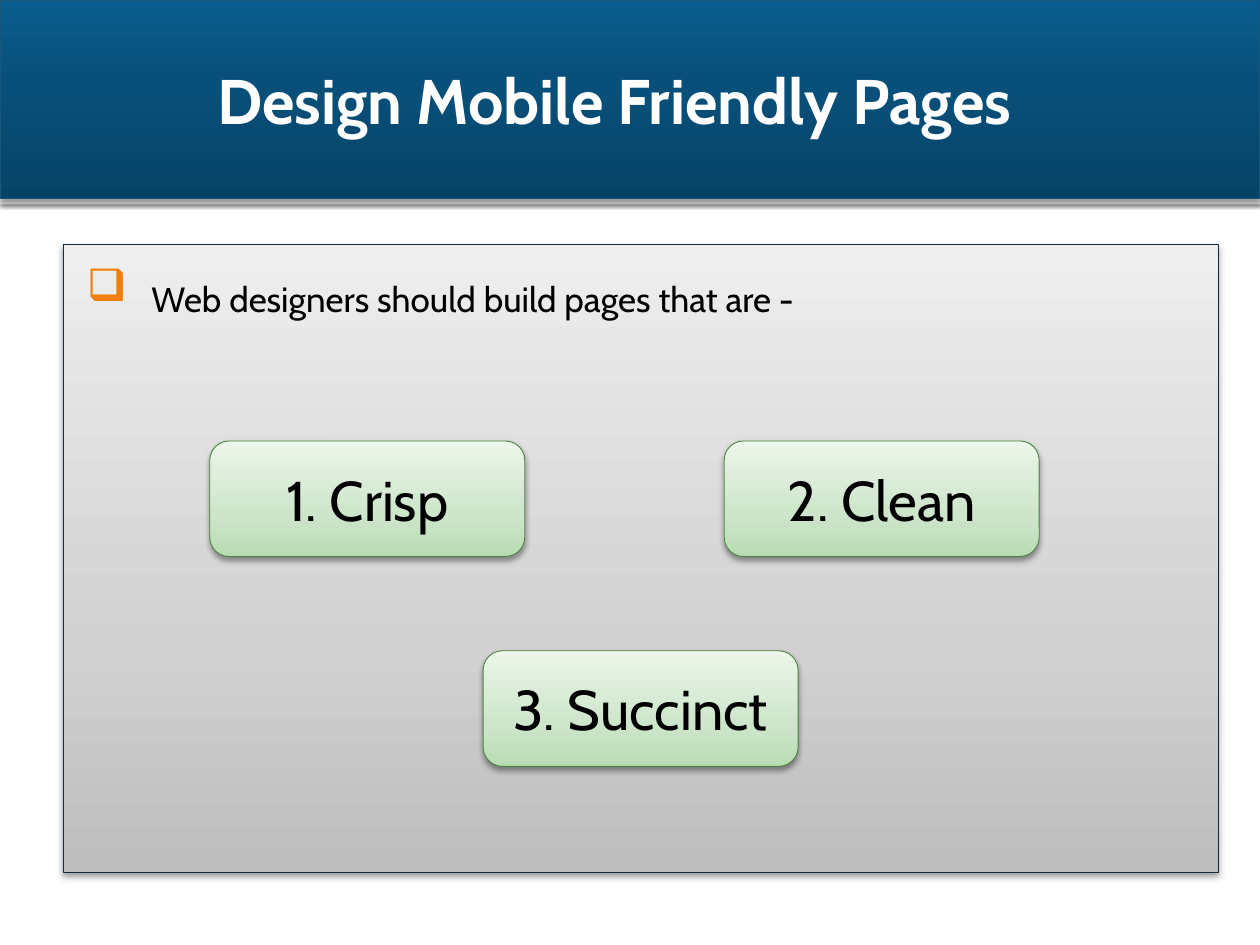
from copy import deepcopy
from dataclasses import dataclass

from lxml.etree import SubElement
from pptx import Presentation
from pptx.dml.color import RGBColor as Rgb
from pptx.enum.shapes import MSO_SHAPE as Preset
from pptx.enum.text import MSO_ANCHOR as Anchor, PP_ALIGN as Align
from pptx.oxml.ns import qn
from pptx.shapes.autoshape import Shape
from pptx.slide import Slide
from pptx.text.text import _Paragraph as Paragraph
from pptx.util import Cm, Pt


@dataclass(frozen=True)
class Box:
    left: float
    top: float
    width: float
    height: float


@dataclass(frozen=True)
class Shadow:
    opacity: int
    blur: float
    distance: float


@dataclass(frozen=True)
class Look:
    stops: tuple[tuple[int, str], ...]
    line: str
    shadow: Shadow


@dataclass(frozen=True)
class Quality:
    label: str
    left: float
    top: float


@dataclass(frozen=True)
class Theme:
    font: str = "Cabin"
    white: str = "FFFFFF"
    black: str = "000000"
    accent: str = "F07F09"
    title_size: int = 36
    large_size: int = 32
    lead_size: int = 20
    header: Look = Look(((0, "074367"), (55, "084F79"), (100, "095C8D")),
                        "18577C", Shadow(38, 3.1, 2))
    panel: Look = Look(((0, "BDBDBD"), (35, "D1D1D1"), (100, "EEEEEE")),
                       "0E2C3E", Shadow(38, 3.5, 2))
    card: Look = Look(((0, "B8DCB3"), (35, "CDE5CA"), (100, "ECF6EA")),
                      "4B843F", Shadow(38, 3.5, 2))
    strip_shadow: Shadow = Shadow(60, 2.5, 0.8)


THEME = Theme()
CARD_WIDTH, CARD_HEIGHT = 6.35, 2.33
UPPER_ROW, LOWER_ROW = 8.89, 13.12
QUALITIES = (
    Quality("1. Crisp", 4.23, UPPER_ROW),
    Quality("3. Succinct", 9.74, LOWER_ROW),
    Quality("2. Clean", 14.6, UPPER_ROW),
)


def lengths(box: Box) -> tuple[Cm, Cm, Cm, Cm]:
    return Cm(box.left), Cm(box.top), Cm(box.width), Cm(box.height)


def add_plain(slide: Slide, preset: Preset, box: Box, shadow: Shadow) -> Shape:
    shape = slide.shapes.add_shape(preset, *lengths(box))
    shape.shadow.inherit = False
    effects = shape._element.spPr.find(qn("a:effectLst"))
    outer = SubElement(effects, qn("a:outerShdw"), blurRad=str(Pt(shadow.blur)),
                       dist=str(Pt(shadow.distance)), dir="5400000",
                       algn="ctr", rotWithShape="0")
    tint = SubElement(outer, qn("a:srgbClr"), val=THEME.black)
    SubElement(tint, qn("a:alpha"), val=str(shadow.opacity * 1000))
    return shape


def add_styled(slide: Slide, preset: Preset, box: Box, look: Look) -> Shape:
    shape = add_plain(slide, preset, box, look.shadow)
    shape.fill.gradient()
    shape.fill.gradient_angle = 90
    stop_list = shape._element.spPr.find(qn("a:gradFill")).find(qn("a:gsLst"))
    stop_list.append(deepcopy(stop_list[-1]))
    for stop, (percent, color) in zip(shape.fill.gradient_stops, look.stops):
        stop.position = percent / 100
        stop.color.rgb = Rgb.from_string(color)
    shape.line.color.rgb = Rgb.from_string(look.line)
    shape.line.width = Pt(0.5)
    return shape


def add_run(paragraph: Paragraph, text: str, size: int, color: str, bold: bool = False) -> None:
    run = paragraph.add_run()
    run.text = text
    run.font.name = THEME.font
    run.font.size = Pt(size)
    run.font.bold = bold
    run.font.color.rgb = Rgb.from_string(color)


def add_bullet(paragraph: Paragraph) -> None:
    properties = paragraph._p.get_or_add_pPr()
    properties.set("marL", str(Cm(1.22)))
    properties.set("indent", str(-Cm(0.89)))
    color = SubElement(properties, qn("a:buClr"))
    SubElement(color, qn("a:srgbClr"), val=THEME.accent)
    SubElement(properties, qn("a:buSzPct"), val="80000")
    SubElement(properties, qn("a:buChar"), char="❑")


def add_header(slide: Slide) -> None:
    strip = add_plain(slide, Preset.RECTANGLE, Box(0, 3.99, 25.4, 0.13), THEME.strip_shadow)
    strip.fill.solid()
    strip.fill.fore_color.rgb = Rgb.from_string(THEME.white)
    strip.line.fill.background()
    add_styled(slide, Preset.RECTANGLE, Box(0, 0, 25.4, 4.01), THEME.header)

    title = slide.shapes.add_textbox(*lengths(Box(2.97, 0.64, 18.42, 2.74))).text_frame
    title.word_wrap = True
    title.vertical_anchor = Anchor.MIDDLE
    title.margin_left = Cm(0.25)
    title.margin_right = title.margin_top = title.margin_bottom = Cm(0.13)
    heading = title.paragraphs[0]
    heading.alignment = Align.CENTER
    add_run(heading, " Design Mobile Friendly Pages", THEME.title_size, THEME.white, bold=True)


def add_panel(slide: Slide) -> None:
    panel = add_styled(slide, Preset.RECTANGLE, Box(1.27, 4.93, 23.29, 12.65), THEME.panel)
    body = panel.text_frame
    body.word_wrap = True
    body.vertical_anchor = Anchor.TOP
    body.margin_left, body.margin_top = Cm(0.15), Cm(0.25)
    body.margin_right, body.margin_bottom = Cm(0.25), Cm(0.13)
    lead = body.paragraphs[0]
    lead.alignment = Align.LEFT
    add_bullet(lead)
    add_run(lead, " ", THEME.large_size, THEME.black)
    add_run(lead, " Web designers should build pages that are -", THEME.lead_size, THEME.black)


def add_card(slide: Slide, quality: Quality) -> None:
    box = Box(quality.left, quality.top, CARD_WIDTH, CARD_HEIGHT)
    card = add_styled(slide, Preset.ROUNDED_RECTANGLE, box, THEME.card)
    card.text_frame.word_wrap = True
    card.text_frame.vertical_anchor = Anchor.MIDDLE
    label = card.text_frame.paragraphs[0]
    label.alignment = Align.CENTER
    add_run(label, quality.label, THEME.large_size, THEME.black)


def main() -> None:
    deck = Presentation()
    deck.slide_width, deck.slide_height = Cm(25.4), Cm(19.05)
    slide = deck.slides.add_slide(deck.slide_layouts[6])
    add_header(slide)
    add_panel(slide)
    for quality in QUALITIES:
        add_card(slide, quality)
    deck.save("out.pptx")


if __name__ == "__main__":
    main()
